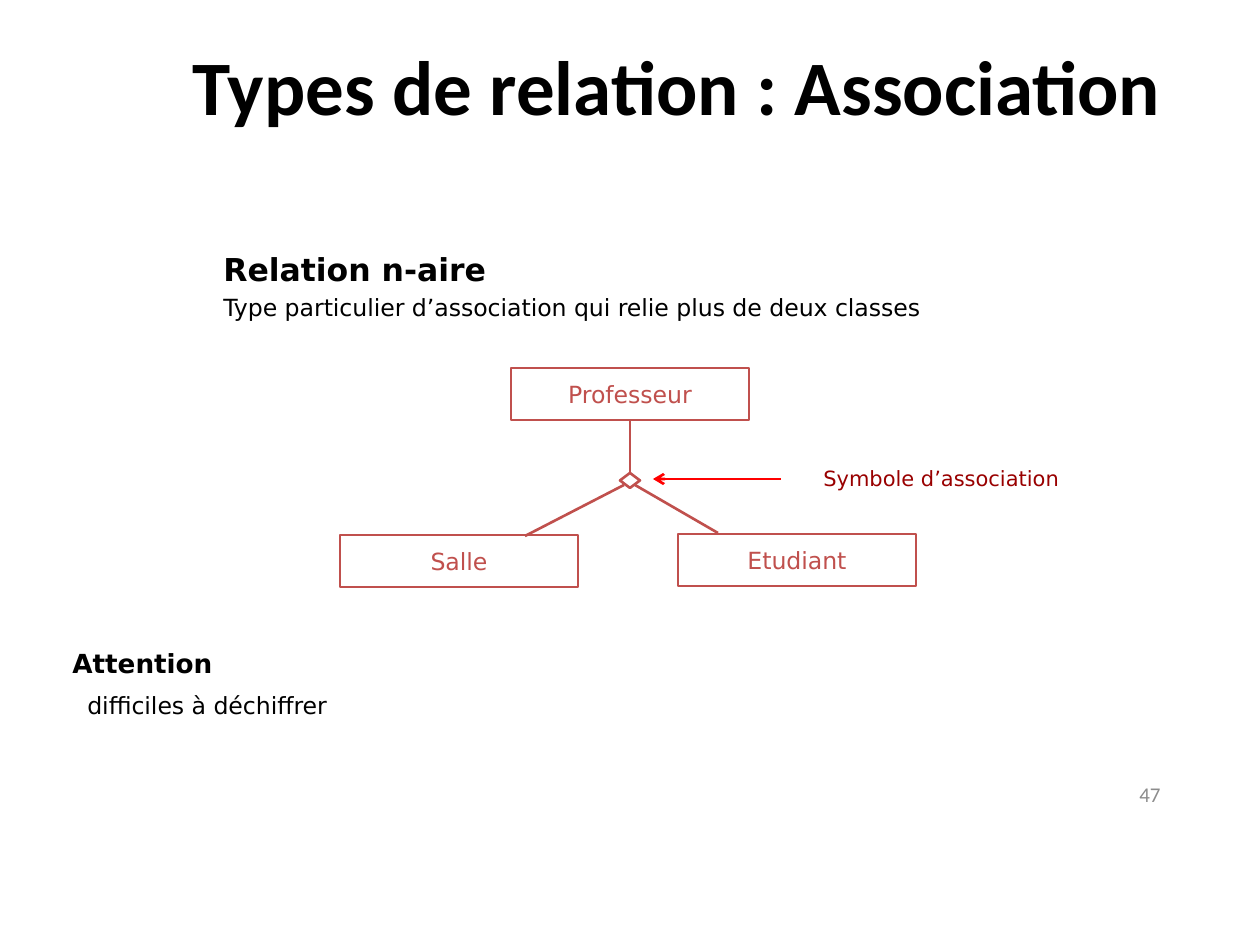
from dataclasses import dataclass

from lxml.etree import SubElement
from pptx import Presentation
from pptx.dml.color import RGBColor
from pptx.enum.shapes import MSO_CONNECTOR, MSO_SHAPE
from pptx.enum.text import MSO_ANCHOR, PP_ALIGN
from pptx.oxml.ns import qn
from pptx.util import Emu, Pt

EMU_PER_PX = 914400 / 126


@dataclass(frozen=True)
class Theme:
    black: str = "000000"
    outline: str = "C0504D"
    arrow: str = "FF0000"
    note: str = "990000"
    grey: str = "8C8C8C"
    title_font: str = "Calibri"
    body_font: str = "DejaVu Sans"
    title_size: float = 44
    heading_size: float = 18
    warning_size: float = 15
    body_size: float = 13.5
    small_size: float = 12
    box_line: float = 1
    link_line: float = 1.5


THEME = Theme()


def px(length):
    return Emu(round(length * EMU_PER_PX))


def color(code):
    return RGBColor.from_string(code)


def add_span(para, text, size, code=THEME.black, bold=False, font=THEME.body_font):
    span = para.add_run()
    span.text = text
    span.font.name = font
    span.font.size = Pt(size)
    span.font.bold = bold
    span.font.color.rgb = color(code)


def add_text_box(page, bounds, anchor=MSO_ANCHOR.MIDDLE, wrap=True):
    box = page.shapes.add_textbox(*map(px, bounds))
    frame = box.text_frame
    frame.word_wrap = wrap
    frame.vertical_anchor = anchor
    return frame


def add_label(page, bounds, text, size, align, **style):
    para = add_text_box(page, bounds).paragraphs[0]
    para.alignment = align
    add_span(para, text, size, **style)


def add_section(page, bounds, heading, heading_size, detail, gap, indent=0, **layout):
    frame = add_text_box(page, bounds, **layout)
    add_span(frame.paragraphs[0], heading, heading_size, bold=True)
    para = frame.add_paragraph()
    para.space_before = Pt(gap)
    if indent:
        para._p.get_or_add_pPr().set("marL", str(px(indent)))
    add_span(para, detail, THEME.body_size)


def add_outline(page, kind, bounds, width):
    shape = page.shapes.add_shape(kind, *map(px, bounds))
    shape.shadow.inherit = False
    shape.fill.background()
    shape.line.color.rgb = color(THEME.outline)
    shape.line.width = Pt(width)
    return shape


def add_class(page, left, top, name):
    shape = add_outline(page, MSO_SHAPE.RECTANGLE, (left, top, 238, 52), THEME.box_line)
    frame = shape.text_frame
    frame.word_wrap = False
    frame.vertical_anchor = MSO_ANCHOR.MIDDLE
    para = frame.paragraphs[0]
    para.alignment = PP_ALIGN.CENTER
    add_span(para, name, THEME.body_size, THEME.outline)


def add_link(page, start, end, code=THEME.outline, arrow=False):
    link = page.shapes.add_connector(MSO_CONNECTOR.STRAIGHT, *map(px, start + end))
    link.line.color.rgb = color(code)
    link.line.width = Pt(THEME.link_line)
    if arrow:
        SubElement(link.line._get_or_add_ln(), qn("a:tailEnd"), type="arrow")
    SubElement(link._element.spPr, qn("a:effectLst"))


def add_diagram(page):
    for left, top, name in (
        (511, 368, "Professeur"),
        (678, 534, "Etudiant"),
        (340, 535, "Salle"),
    ):
        add_class(page, left, top, name)
    add_outline(page, MSO_SHAPE.DIAMOND, (620, 473, 20, 15), THEME.link_line)
    for start, end in (
        ((630, 473), (630, 420)),
        ((624, 485), (525, 536)),
        ((635, 485), (718, 533)),
    ):
        add_link(page, start, end)
    add_link(page, (781, 479), (653, 479), THEME.arrow, arrow=True)
    note = add_text_box(page, (811, 459, 262, 38), MSO_ANCHOR.TOP, wrap=False)
    add_span(note.paragraphs[0], "Symbole d’association", THEME.small_size, THEME.note)


def main():
    deck = Presentation()
    deck.slide_width, deck.slide_height = px(1260), px(945)
    page = deck.slides.add_slide(deck.slide_layouts[6])
    add_label(page, (175, 32, 1004, 106), "Types de relation : Association",
              THEME.title_size, PP_ALIGN.CENTER, bold=True, font=THEME.title_font)
    add_section(page, (211, 244, 731, 86), "Relation n-aire", THEME.heading_size,
                "Type particulier d’association qui relie plus de deux classes",
                gap=3, anchor=MSO_ANCHOR.TOP, wrap=False)
    add_diagram(page)
    add_section(page, (60, 640, 1085, 86), "Attention", THEME.warning_size,
                "difficiles à déchiffrer", gap=7, indent=15)
    add_label(page, (890, 775, 283, 38), "47", THEME.small_size, PP_ALIGN.RIGHT,
              code=THEME.grey, font=THEME.title_font)
    deck.save("out.pptx")


if __name__ == "__main__":
    main()
